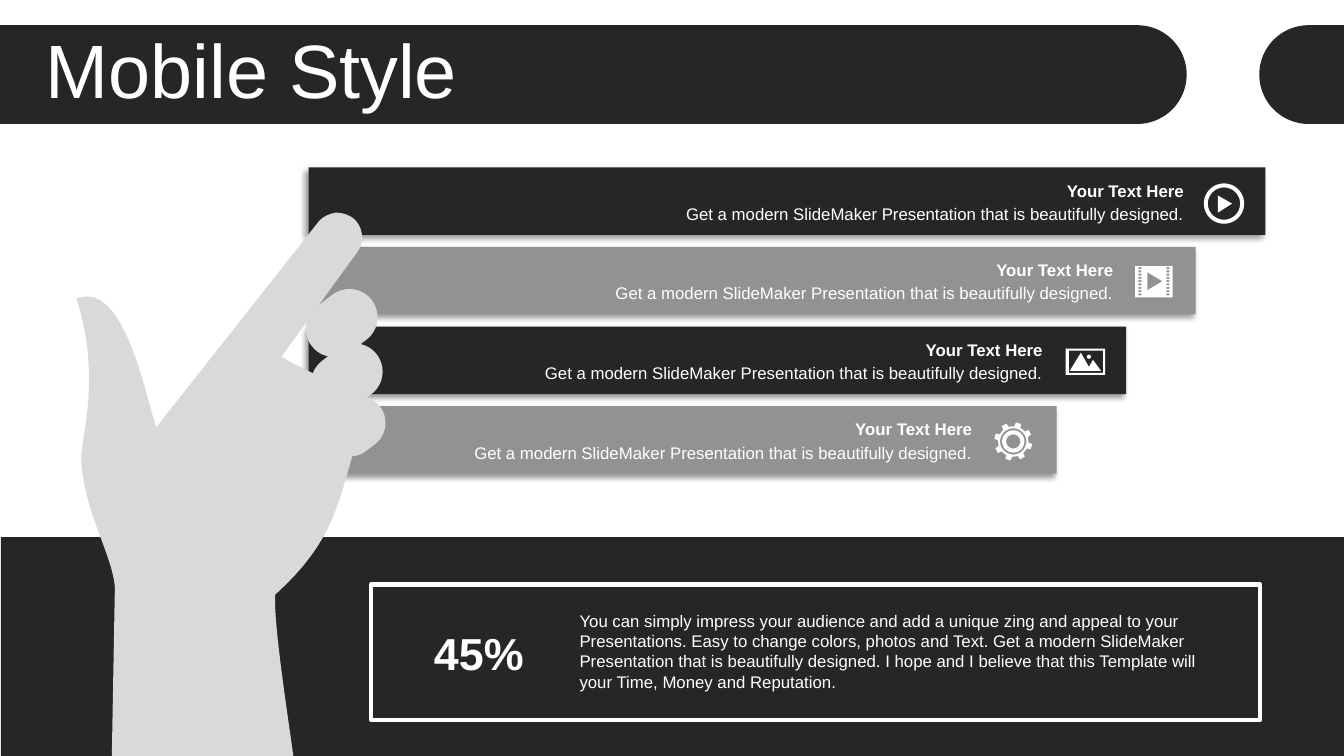
import math
from pptx import Presentation
from pptx.dml.color import RGBColor
from pptx.enum.shapes import MSO_SHAPE
from pptx.enum.text import MSO_ANCHOR, PP_ALIGN
from pptx.oxml import parse_xml
from pptx.oxml.ns import nsdecls
from pptx.util import Inches, Pt

RECTANGLE = MSO_SHAPE.RECTANGLE
ROUNDED = MSO_SHAPE.ROUNDED_RECTANGLE
TOP, MIDDLE = MSO_ANCHOR.TOP, MSO_ANCHOR.MIDDLE
LEFT, CENTER, RIGHT = PP_ALIGN.LEFT, PP_ALIGN.CENTER, PP_ALIGN.RIGHT
DARK = RGBColor(0x26, 0x26, 0x26)
GRAY = RGBColor(0x92, 0x92, 0x92)
SKIN = RGBColor(0xD9, 0xD9, 0xD9)
WHITE = RGBColor(0xFF, 0xFF, 0xFF)
TITLE_ONLY = 5
SHADOW = (
    f'<a:outerShdw {nsdecls("a")} blurRad="50800" dist="38100" dir="8100000" rotWithShape="0">'
    '<a:srgbClr val="000000"><a:alpha val="40000"/></a:srgbClr></a:outerShdw>'
)
BODY = (
    "You can simply impress your audience and add a unique zing and appeal to your "
    "Presentations. Easy to change colors, photos and Text. Get a modern SlideMaker "
    "Presentation that is beautifully designed. I hope and I believe that this Template "
    "will your Time, Money and Reputation."
)
HAND = [
    (3.33, 2.11),
    (3.39, 2.11, 3.46, 2.13, 3.51, 2.17),
    (3.61, 2.26, 3.62, 2.42, 3.53, 2.52),
    (2.79, 3.54),
    (3.14, 3.75, 3.65, 3.88, 3.58, 4.22),
    (3.35, 5.02, 3.32, 5.36, 2.73, 5.9),
    (2.71, 6.18, 2.87, 7.2, 2.91, 7.5),
    (1.11, 7.5),
    (1.14, 5.82),
    (1.11, 5.5, 0.85, 5.1, 0.81, 4.61),
    (0.77, 4.42, 1.03, 3.81, 0.76, 2.96),
    (1.24, 2.77, 1.45, 3.96, 1.55, 4.24),
    (3.16, 2.2),
    (3.2, 2.15, 3.27, 2.12, 3.33, 2.11),
]


def write_text(frame, text, size=12, bold=False, align=LEFT, anchor=TOP, line_spacing=None):
    frame.word_wrap = True
    frame.vertical_anchor = anchor
    paragraph = frame.paragraphs[0]
    paragraph.alignment = align
    paragraph.space_before = Pt(0)
    paragraph.line_spacing = line_spacing
    run = paragraph.add_run()
    run.text = text
    run.font.name = "Arial"
    run.font.size = Pt(size)
    run.font.bold = bold
    run.font.color.rgb = WHITE


def arc(x, y, radius, start=0, end=360, steps=48):
    angles = [math.radians(start + (end - start) * i / steps) for i in range(steps + 1)]
    return [(x + radius * math.cos(a), y + radius * math.sin(a)) for a in angles]


def box(left, top, width, height):
    right, bottom = left + width, top + height
    return [(left, top), (right, top), (right, bottom), (left, bottom)]


def flatten(segments, steps=16):
    points = []
    for segment in segments:
        if len(segment) == 2:
            points.append(segment)
            continue
        x0, y0 = points[-1]
        x1, y1, x2, y2, x3, y3 = segment
        for i in range(1, steps + 1):
            t = i / steps
            a, b, c, d = (1 - t) ** 3, 3 * t * (1 - t) ** 2, 3 * t * t * (1 - t), t ** 3
            points.append((a * x0 + b * x1 + c * x2 + d * x3,
                           a * y0 + b * y1 + c * y2 + d * y3))
    return points


def play_icon():
    x, y = 12.14, 2.02
    triangle = [(12.08, 1.94), (12.22, 2.02), (12.08, 2.11)]
    return [arc(x, y, 0.2), arc(x, y, 0.16), triangle]


def film_icon():
    holes = [box(left, 2.65 + 0.26 * row / 8, 0.03, 0.02)
             for row in range(9) for left in (11.29, 11.57)]
    triangle = [(11.38, 2.7), (11.38, 2.88), (11.53, 2.79)]
    return [box(11.26, 2.64, 0.37, 0.31), triangle, *holes]


def photo_icon():
    mountains = [(10.72, 3.5), (10.8, 3.64), (10.84, 3.57), (10.92, 3.68), (10.61, 3.68)]
    return [box(10.57, 3.46, 0.39, 0.26), box(10.6, 3.48, 0.34, 0.22),
            mountains, arc(10.8, 3.54, 0.02)]


def gear_icon():
    x, y = 10.05, 4.38
    teeth = []
    for tooth in range(8):
        middle = 16 + 45 * tooth
        teeth += arc(x, y, 0.15, middle - 33, middle - 12, 4)
        teeth += arc(x, y, 0.19, middle - 8, middle + 8, 1)
    return [teeth] + [arc(x, y, radius) for radius in (0.13, 0.11, 0.07)]


class SlideBuilder:
    def __init__(self, slide):
        self.slide = slide
        self.shapes = slide.shapes

    def style(self, shape, fill=None, line=None):
        shape.shadow.inherit = False
        if fill is None:
            shape.fill.background()
        else:
            shape.fill.solid()
            shape.fill.fore_color.rgb = fill
        if line is None:
            shape.line.fill.background()
        else:
            shape.line.color.rgb = line
            shape.line.width = Pt(3)
        return shape

    def preset(self, kind, left, top, width, height, fill=None, line=None, rotation=0):
        shape = self.shapes.add_shape(
            kind, Inches(left), Inches(top), Inches(width), Inches(height))
        shape.rotation = rotation
        return self.style(shape, fill, line)

    def bar(self, left, top, width, height, fill):
        shape = self.preset(RECTANGLE, left, top, width, height, fill)
        shape.element.spPr.find("{*}effectLst").append(parse_xml(SHADOW))

    def outline(self, contours, fill):
        builder = None
        for contour in contours:
            points = [(Inches(x), Inches(y)) for x, y in contour]
            if builder is None:
                builder = self.shapes.build_freeform(*points[0], scale=1.0)
            else:
                builder.move_to(*points[0])
            builder.add_line_segments(points[1:], close=True)
        self.style(builder.convert_to_shape(), fill)

    def text(self, text, left, top, width, height, **text_format):
        shape = self.shapes.add_textbox(
            Inches(left), Inches(top), Inches(width), Inches(height))
        write_text(shape.text_frame, text, **text_format)

    def title(self, text, left, top, width, height, **text_format):
        title = self.shapes.title
        title.left, title.top = Inches(left), Inches(top)
        title.width, title.height = Inches(width), Inches(height)
        write_text(title.text_frame, text, **text_format)
        title.element.getparent().append(title.element)


def main():
    presentation = Presentation()
    presentation.slide_width = Inches(13.33)
    presentation.slide_height = Inches(7.5)
    slide = presentation.slides.add_slide(presentation.slide_layouts[TITLE_ONLY])
    builder = SlideBuilder(slide)

    builder.preset(RECTANGLE, 0.01, 5.33, 13.32, 2.17, DARK)
    for row in range(4):
        builder.bar(3.06, 1.66 + 0.79 * row, 9.49 - 0.69 * row, 0.67, (DARK, GRAY)[row % 2])
    builder.outline([flatten(HAND)], SKIN)
    builder.outline([[(0, 0.25), *arc(11.28, 0.74, 0.49, -90, 90), (0, 1.23)]], DARK)
    builder.outline([[(13.33, 1.23), *arc(12.98, 0.74, 0.49, 90, 270), (13.33, 0.25)]], DARK)
    builder.title("Mobile Style", 0.35, 0.34, 12.66, 0.79,
                  size=54, anchor=MIDDLE, line_spacing=0.9)

    for row in range(4):
        left, top = 6.45 - 0.7 * row, 1.74 + 0.79 * row
        builder.text("Get a modern SlideMaker Presentation that is beautifully designed.",
                     left, top + 0.23, 5.39, 0.3, align=RIGHT)
        builder.text("Your Text Here", left, top, 5.39, 0.3, bold=True, align=RIGHT)

    for knuckle in ((3.11, 2.83, 0.56, 0.75), (3.16, 3.37, 0.56, 0.75), (3.25, 3.91, 0.53, 0.64)):
        shape = builder.preset(ROUNDED, *knuckle, fill=SKIN, rotation=52.5)
        shape.adjustments[0] = 0.5

    builder.preset(RECTANGLE, 3.68, 5.8, 8.82, 1.34, line=WHITE)
    builder.text("45%", 4.12, 6.15, 1.26, 0.64, size=32, bold=True, align=CENTER, anchor=MIDDLE)
    builder.text(BODY, 5.65, 6.01, 6.47, 0.91)
    for icon in (play_icon, film_icon, photo_icon, gear_icon):
        builder.outline(icon(), WHITE)

    presentation.save("out.pptx")


if __name__ == "__main__":
    main()
